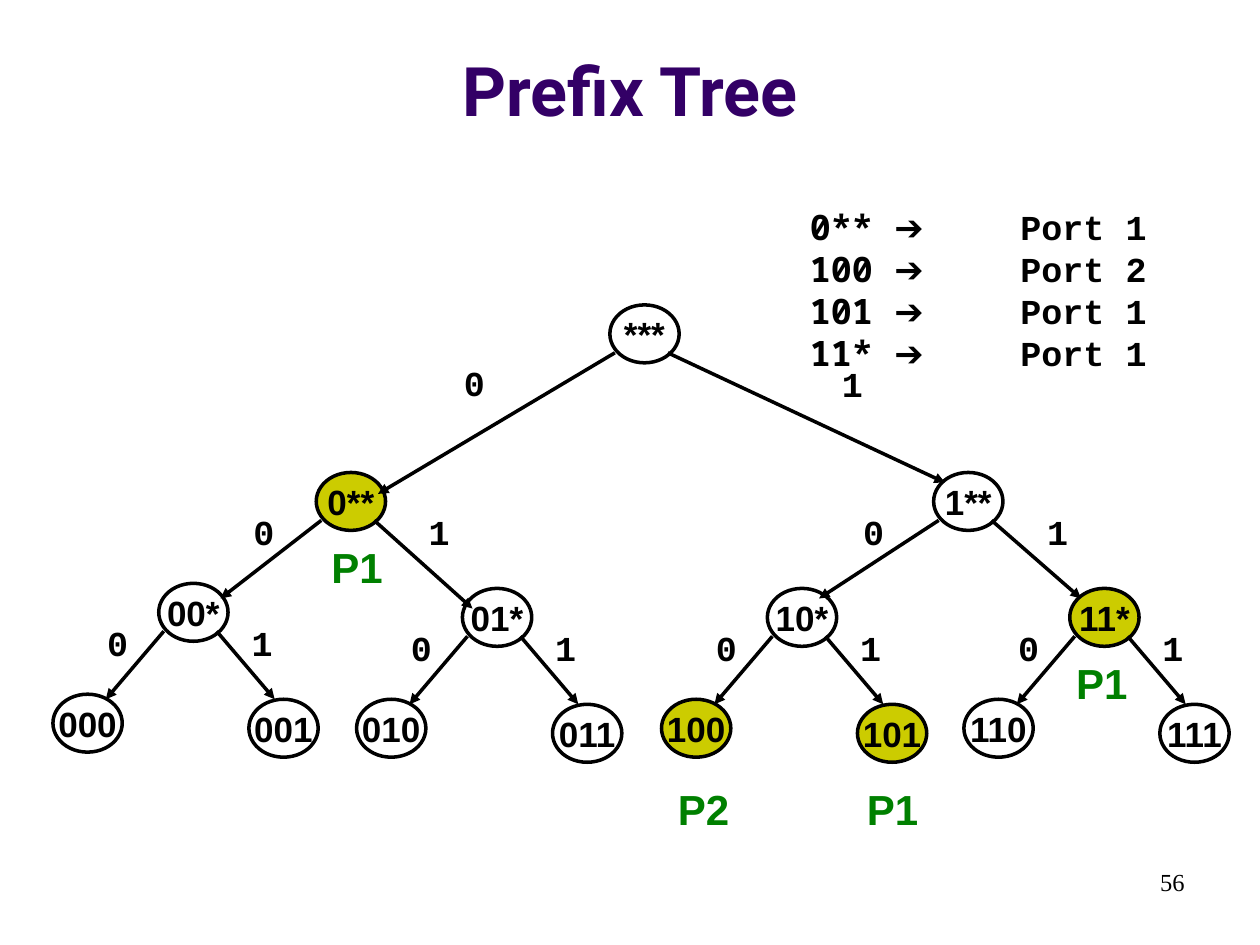
from dataclasses import dataclass

from lxml import etree
from pptx import Presentation
from pptx.dml.color import RGBColor
from pptx.enum.shapes import MSO_CONNECTOR, MSO_SHAPE
from pptx.enum.text import MSO_ANCHOR, PP_ALIGN
from pptx.oxml.ns import qn
from pptx.util import Inches, Pt

STRAIGHT = MSO_CONNECTOR.STRAIGHT
OVAL = MSO_SHAPE.OVAL
TOP, MIDDLE, BOTTOM = MSO_ANCHOR.TOP, MSO_ANCHOR.MIDDLE, MSO_ANCHOR.BOTTOM
LEFT, CENTER, RIGHT = PP_ALIGN.LEFT, PP_ALIGN.CENTER, PP_ALIGN.RIGHT

COLUMNS, ROWS = 100, 75
NODE_SIZE = (5.5, 4.6)
EDGE_STARTS = ((0.4, 3.8), (4.6, 3.8))
LEAF_OFFSETS = ((-8.4, 8.8), (7.15, 9.2))
LEAF_EDGE_ENDS = ((-4.2, 9.2), (9.2, 9.2))
LEAF_LABELS = ((-5.9, 2.5), (5.55, 2.5))


@dataclass(frozen=True)
class TextStyle:
    name: str
    size: float
    color: str = "000000"
    bold: bool = True


class Theme:
    ink = "000000"
    plain = "FFFFFF"
    match = "CCCC00"
    line_width = 2
    title = TextStyle("Roboto", 39, "330066")
    node = TextStyle("Arial", 20)
    code = TextStyle("Courier New", 20)
    prefix = TextStyle("Noto Sans Mono", 20)
    port = TextStyle("Arial", 24, "008000")
    number = TextStyle("Times New Roman", 14, bold=False)


def assign(target, formats):
    for name, value in formats.items():
        setattr(target, name, value)


def shift(origin, offset):
    return origin[0] + offset[0], origin[1] + offset[1]


class TreeSlide:
    def __init__(self, deck, theme):
        self.theme = theme
        self.width, self.height = deck.slide_width, deck.slide_height
        self.page = deck.slides.add_slide(deck.slide_layouts[5])

    def place(self, point):
        return (round(point[0] * self.width / COLUMNS),
                round(point[1] * self.height / ROWS))

    def add_span(self, para, text, style):
        span = para.add_run()
        span.text = text
        assign(span.font, {"name": style.name, "size": Pt(style.size), "bold": style.bold})
        span.font.color.rgb = RGBColor.from_string(style.color)

    def fill_text(self, shape, text, style, align=CENTER, anchor=TOP, wrap=True):
        frame = shape.text_frame
        assign(frame, {"word_wrap": wrap, "vertical_anchor": anchor})
        para = frame.paragraphs[0]
        para.alignment = align
        self.add_span(para, text, style)

    def title(self, text, at, size):
        shape = self.page.shapes.title
        (left, top), (width, height) = self.place(at), self.place(size)
        assign(shape, {"left": left, "top": top, "width": width, "height": height})
        self.fill_text(shape, text, self.theme.title, anchor=BOTTOM)

    def box(self, at, size):
        return self.page.shapes.add_textbox(*self.place(at), *self.place(size))

    def label(self, text, at, size, style, align=CENTER):
        self.fill_text(self.box(at, size), text, style, align)

    def node(self, text, at, matched=False):
        shape = self.page.shapes.add_shape(OVAL, *self.place(at), *self.place(NODE_SIZE))
        shape.shadow.inherit = False
        shape.fill.solid()
        fill = self.theme.match if matched else self.theme.plain
        shape.fill.fore_color.rgb = RGBColor.from_string(fill)
        shape.line.color.rgb = RGBColor.from_string(self.theme.ink)
        shape.line.width = Pt(self.theme.line_width)
        self.fill_text(shape, text, self.theme.node, anchor=MIDDLE, wrap=False)

    def edge(self, start, end):
        arrow = self.page.shapes.add_connector(STRAIGHT, *self.place(start), *self.place(end))
        arrow.line.color.rgb = RGBColor.from_string(self.theme.ink)
        arrow.line.width = Pt(self.theme.line_width)
        properties = arrow._element.spPr
        etree.SubElement(properties.get_or_add_ln(), qn("a:tailEnd"), type="triangle")
        etree.SubElement(properties, qn("a:effectLst"))

    def branch(self, text, at, ends, labels, matched=False):
        self.node(text, at, matched)
        for bit, (start, end, label) in enumerate(zip(EDGE_STARTS, ends, labels)):
            self.edge(shift(at, start), end)
            self.label(str(bit), label, (5.3, 4.3), self.theme.code)

    def subtree(self, prefix, at, matches):
        for bit, offset in enumerate(LEAF_OFFSETS):
            leaf = f"{prefix}{bit}"
            self.node(leaf, shift(at, offset), leaf in matches)
        text = f"{prefix}*"
        self.branch(text, at, [shift(at, end) for end in LEAF_EDGE_ENDS],
                    [shift(at, label) for label in LEAF_LABELS], text in matches)

    def routes(self, rows, at, size, stops):
        frame = self.box(at, size).text_frame
        frame.word_wrap = True
        for index, (prefix, port) in enumerate(rows):
            para = frame.add_paragraph() if index else frame.paragraphs[0]
            assign(para, {"alignment": LEFT, "line_spacing": Pt(24)})
            tabs = etree.SubElement(para._p.get_or_add_pPr(), qn("a:tabLst"))
            for stop in stops:
                etree.SubElement(tabs, qn("a:tab"), pos=str(Inches(stop)), algn="l")
            self.add_span(para, f"{prefix}\t", self.theme.prefix)
            self.add_span(para, "➔\t", self.theme.node)
            self.add_span(para, port, self.theme.code)


def main():
    deck = Presentation()
    assign(deck, {"slide_width": Inches(10), "slide_height": Inches(7.5)})
    theme = Theme()
    tree = TreeSlide(deck, theme)
    tree.title("Prefix Tree", (0, 1.3), (100, 9.5))
    tree.label("56", (71.7, 68.3), (23.3, 5), theme.number, RIGHT)

    routes = {"0**": "Port 1", "100": "Port 2", "101": "Port 1", "11*": "Port 1"}
    subtrees = {"00": (12.6, 46.3), "01": (36.7, 46.7),
                "11": (84.9, 46.7), "10": (60.9, 46.7)}
    for prefix, at in subtrees.items():
        tree.subtree(prefix, at, routes)

    branches = [
        ("0**", (25.1, 37.5), ((17.5, 47.5), (37.5, 48.3)), ((18.3, 40), (32.2, 40))),
        ("1**", (74.1, 37.5), ((65, 47.5), (85.8, 47.5)), ((66.7, 40), (81.3, 40))),
        ("***", (48.4, 24.2), ((30, 39.2), (75, 38.3)), ((35, 28.2), (65, 28.3))),
    ]
    for text, at, ends, labels in branches:
        tree.branch(text, at, ends, labels, text in routes)

    ports = [("P1", (24.2, 42.5)), ("P2", (51.7, 61.7)),
             ("P1", (66.7, 61.7)), ("P1", (83.3, 51.7))]
    for text, at in ports:
        tree.label(text, at, (8.3, 5), theme.port)

    tree.routes(routes.items(), (63.3, 15.8), (32.5, 14.4), (0.67, 1.67))
    deck.save("out.pptx")


if __name__ == "__main__":
    main()
